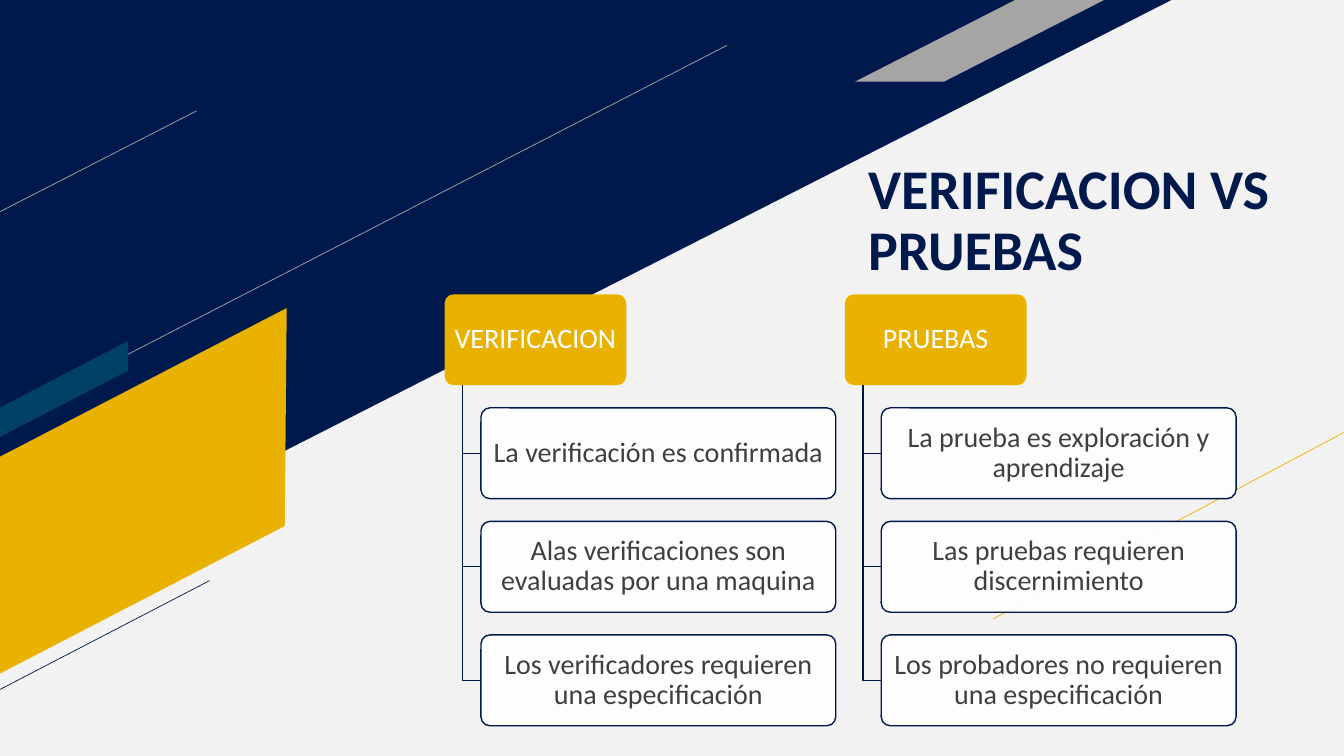
from dataclasses import dataclass

from lxml import etree
from pptx import Presentation
from pptx import util as u
from pptx.dml.color import RGBColor
from pptx.enum import shapes, text
from pptx.oxml import ns


@dataclass(frozen=True)
class Theme:
    font: str = "Calibri"
    title_size: int = 40
    body_size: int = 20
    hairline: float = 0.5
    outline: float = 1
    paper: str = "F2F2F2"
    navy: str = "00194C"
    branch: str = "00143D"
    gold: str = "EAB200"
    teal: str = "014067"
    gray: str = "A5A5A5"
    pale_gray: str = "A6A6A6"
    white: str = "FFFFFF"
    ink: str = "3F3F3F"


@dataclass(frozen=True)
class Box:
    left: float
    top: float
    width: float
    height: float

    def point(self, x, y):
        return (int(self.left + self.width * x / 100),
                int(self.top + self.height * y / 100))

    def region(self, x, y, width, height):
        left, top = self.point(x, y)
        return Box(left, top, int(self.width * width / 100),
                   int(self.height * height / 100))

    def place(self):
        return int(self.left), int(self.top), int(self.width), int(self.height)


THEME = Theme()
COLUMNS = [
    ("VERIFICACION", ["La verificación es confirmada",
                      "Alas verificaciones son evaluadas por una maquina",
                      "Los verificadores requieren una especificación"]),
    ("PRUEBAS", ["La prueba es exploración y aprendizaje",
                 "Las pruebas requieren discernimiento",
                 "Los probadores no requieren una especificación"]),
]


def rgb(color):
    return RGBColor.from_string(color)


def add_filled(slide, kind, box, color, adjustment=None, rotation=0):
    shape = slide.shapes.add_shape(kind, *box.place())
    shape.shadow.inherit = False
    shape.fill.solid()
    shape.fill.fore_color.rgb = rgb(color)
    shape.line.fill.background()
    shape.rotation = rotation
    if adjustment is not None:
        shape.adjustments[0] = adjustment
    return shape


def style_line(line, color, width):
    line.color.rgb = rgb(color)
    line.width = u.Pt(width)


def write(shape, words, size, color, bold=False):
    frame = shape.text_frame
    frame.text = words
    frame.word_wrap = True
    frame.auto_size = text.MSO_AUTO_SIZE.NONE
    paragraph = frame.paragraphs[0]
    paragraph.line_spacing = 0.9
    font = paragraph.runs[0].font
    font.name, font.size, font.bold = THEME.font, u.Pt(size), bold
    font.color.rgb = rgb(color)
    return frame


def draw_backdrop(slide, box):
    slide.background.fill.solid()
    slide.background.fill.fore_color.rgb = rgb(THEME.paper)
    slant = shapes.MSO_SHAPE.PARALLELOGRAM
    corner = add_filled(slide, shapes.MSO_SHAPE.RIGHT_TRIANGLE,
                        box.region(0, 0, 87.17, 78.8), THEME.navy)
    corner._element.spPr.xfrm.set("flipV", "1")
    add_filled(slide, slant, box.region(-5.25, 52.27, 31.66, 25.47),
               THEME.gold, 0.53, 332.6)
    add_filled(slide, slant, box.region(63.62, 0, 18.53, 10.8), THEME.gray, 1.96)
    for start, end, color in [
        ((0, 28), (14.63, 14.67), THEME.pale_gray),
        ((73.89, 81.87), (100, 57.2), THEME.gold),
        ((0, 55.6), (54.09, 6), THEME.pale_gray),
        ((0, 91.2), (15.6, 76.8), THEME.navy),
    ]:
        stripe = slide.shapes.add_connector(
            shapes.MSO_CONNECTOR.STRAIGHT, *box.point(*start), *box.point(*end))
        style_line(stripe.line, color, THEME.hairline)
        etree.SubElement(stripe._element.spPr, ns.qn("a:effectLst"))
    add_filled(slide, slant, box.region(-1.13, 49.73, 11.78, 3.47),
               THEME.teal, 0.53, 332.6)


def draw_title(slide, box, words):
    title = slide.shapes.title
    title.left, title.top, title.width, title.height = box.place()
    slide.shapes._spTree.append(title._element)
    frame = write(title, words, THEME.title_size, THEME.navy, True)
    frame.vertical_anchor = text.MSO_ANCHOR.BOTTOM
    frame.margin_bottom = 0
    frame.paragraphs[0].alignment = text.PP_ALIGN.LEFT


def draw_card(slide, box, words, fill, ink):
    card = add_filled(slide, shapes.MSO_SHAPE.ROUNDED_RECTANGLE, box, fill, 0.1)
    frame = write(card, words, THEME.body_size, ink)
    frame.vertical_anchor = text.MSO_ANCHOR.MIDDLE
    frame.margin_left = frame.margin_right = u.Inches(0.07)
    frame.margin_top = frame.margin_bottom = u.Inches(0.06)
    frame.paragraphs[0].alignment = text.PP_ALIGN.CENTER
    return card


def draw_branch(slide, trunk, top, elbow, end):
    builder = slide.shapes.build_freeform(int(trunk), int(top))
    builder.add_line_segments([(int(trunk), int(elbow)), (int(end), int(elbow))],
                              close=False)
    branch = builder.convert_to_shape()
    branch.shadow.inherit = False
    branch.fill.background()
    style_line(branch.line, THEME.branch, THEME.outline)


def draw_column(slide, box, heading, items):
    row = box.height / (len(items) * 1.25 + 1)
    header = Box(box.left, box.top, row * 2, row)
    trunk, indent = box.left + row * 0.2, row * 0.4
    draw_card(slide, header, heading, THEME.gold, THEME.white)
    for index, item in enumerate(items, 1):
        cell = Box(box.left + indent, box.top + index * row * 1.25,
                   box.width - indent, row)
        draw_branch(slide, trunk, box.top + row, cell.top + row / 2, cell.left)
        card = draw_card(slide, cell, item, THEME.white, THEME.ink)
        style_line(card.line, THEME.navy, THEME.outline)
        color = card._element.spPr.find(ns.qn("a:solidFill"))[0]
        etree.SubElement(color, ns.qn("a:alpha"), val="90000")


def draw_comparison(slide, box, columns):
    gap = 1.15
    width = (100 - gap * (len(columns) - 1)) / len(columns)
    for index, (heading, items) in enumerate(columns):
        column = box.region(index * (width + gap), 0, width, 100)
        draw_column(slide, column, heading, items)


def main():
    presentation = Presentation()
    presentation.slide_width = u.Inches(13.33)
    presentation.slide_height = u.Inches(7.5)
    slide = presentation.slides.add_slide(presentation.slide_layouts[5])
    page = Box(0, 0, presentation.slide_width, presentation.slide_height)
    draw_backdrop(slide, page)
    draw_title(slide, page.region(63.84, 20.27, 36.16, 17.07),
               "VERIFICACION VS PRUEBAS")
    draw_comparison(slide, page.region(33.08, 38.93, 58.89, 57.07), COLUMNS)
    presentation.save("out.pptx")


if __name__ == "__main__":
    main()
